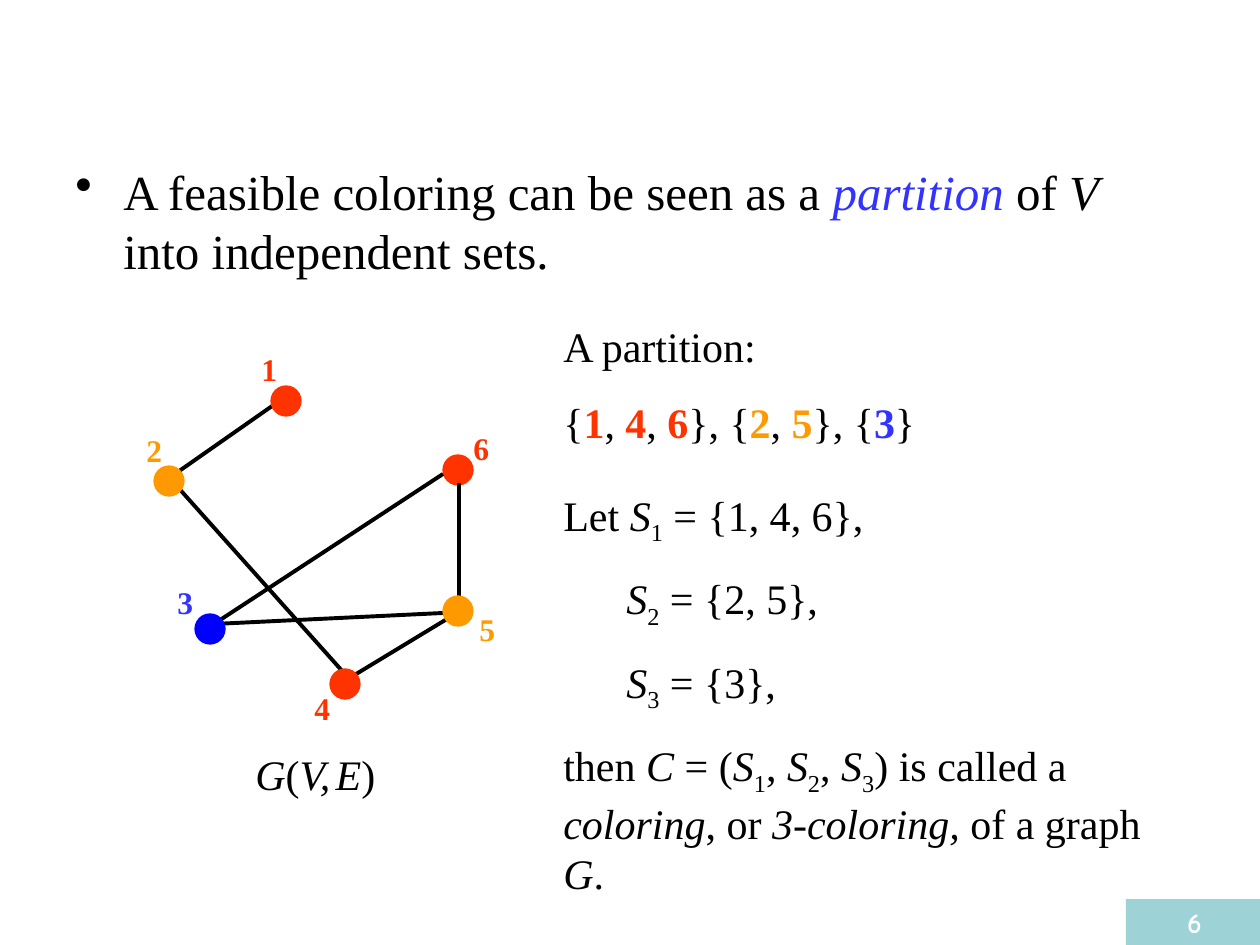
from pptx import Presentation
from pptx.dml.color import RGBColor
from pptx.enum.shapes import MSO_CONNECTOR, MSO_SHAPE
from pptx.enum.text import MSO_ANCHOR, PP_ALIGN
from pptx.oxml.ns import qn
from pptx.util import Emu, Pt
from lxml.etree import SubElement

PX = 914400 / 126
SERIF = "Times New Roman"
BLACK, RED, ORANGE, BLUE = "000000", "FF3300", "FF9900", "3333FF"
DOT = 30

# Vertex: dot corner, dot colour, label box (left, top, width), label colour
VERTICES = {
    "1": ((271, 386), RED, (249, 344, 59), RED),
    "2": ((154, 466), ORANGE, (134, 425, 59), ORANGE),
    "3": ((195, 614), "0000FF", (165, 577, 59), BLUE),
    "4": ((330, 669), RED, (302, 683, 59), RED),
    "5": ((443, 596), ORANGE, (467, 604, 59), ORANGE),
    "6": ((443, 455), RED, (461, 423, 50), RED),
}
EDGES = [
    (275, 404, 175, 474),  # 1-2
    (459, 483, 459, 601),  # 6-5
    (443, 474, 214, 624),  # 6-3
    (443, 613, 214, 624),  # 5-3
    (175, 484, 344, 673),  # 2-4
    (447, 619, 348, 679),  # 5-4
]


def px(value):
    return Emu(round(value * PX))


def rgb(hex_code):
    return RGBColor.from_string(hex_code)


def italic(text):
    return text, {"italic": True}


def bold(text, color):
    return text, {"bold": True, "color": color}


def s_set(index):
    """The symbol S with a subscript."""
    return [italic("S"), (index, {"sub": True})]


def add_runs(paragraph, runs):
    """Each run is plain text or a (text, style) pair."""
    for item in runs:
        text, style = (item, {}) if isinstance(item, str) else item
        run = paragraph.add_run()
        run.text = text
        font = run.font
        if style.get("italic"):
            font.italic = True
        if style.get("bold"):
            font.bold = True
        if "color" in style:
            font.color.rgb = rgb(style["color"])
        if "size" in style:
            font.size = Pt(style["size"])
        if style.get("sub"):
            run._r.get_or_add_rPr().set("baseline", "-25000")


def set_font(paragraph, size, color, name=SERIF):
    font = paragraph.font
    font.name, font.size, font.color.rgb = name, Pt(size), rgb(color)


def set_indent(paragraph, left, first=0):
    properties = paragraph._p.get_or_add_pPr()
    properties.set("marL", str(px(left)))
    properties.set("indent", str(px(first)))
    return properties


def add_text(slide, left, top, width, height, lines, size=24, color=BLACK):
    """Each line is a (left indent, runs) pair."""
    frame = slide.shapes.add_textbox(*map(px, (left, top, width, height))).text_frame
    frame.word_wrap = True
    for number, (indent, runs) in enumerate(lines):
        paragraph = frame.add_paragraph() if number else frame.paragraphs[0]
        if number:
            paragraph.space_before = Pt(15)
        if indent:
            set_indent(paragraph, indent)
        set_font(paragraph, size, color)
        add_runs(paragraph, runs)


def add_bullet(slide, left, top, width, height, runs):
    frame = slide.shapes.add_textbox(*map(px, (left, top, width, height))).text_frame
    frame.word_wrap = True
    paragraph = frame.paragraphs[0]
    properties = set_indent(paragraph, 48, -48)
    bullet_color = SubElement(properties, qn("a:buClr"))
    SubElement(bullet_color, qn("a:srgbClr")).set("val", BLACK)
    SubElement(properties, qn("a:buChar")).set("char", "•")
    set_font(paragraph, 28, BLACK)
    add_runs(paragraph, runs)


def add_dot(slide, vertex):
    (left, top), color, _, _ = VERTICES[vertex]
    dot = slide.shapes.add_shape(MSO_SHAPE.OVAL, *map(px, (left, top, DOT, DOT)))
    dot.shadow.inherit = False
    dot.fill.solid()
    dot.fill.fore_color.rgb = dot.line.color.rgb = rgb(color)
    dot.line.width = Pt(0.75)


def add_edge(slide, ends):
    edge = slide.shapes.add_connector(MSO_CONNECTOR.STRAIGHT, *map(px, ends))
    edge.line.color.rgb = rgb(BLACK)
    edge.line.width = Pt(2.25)
    SubElement(edge._element.spPr, qn("a:effectLst"))


def add_graph(slide):
    # Vertex 6 lies under its edges, the other vertices lie over them
    add_dot(slide, "6")
    for ends in EDGES:
        add_edge(slide, ends)
    for vertex in "12345":
        add_dot(slide, vertex)
    for vertex, (_, _, label, color) in VERTICES.items():
        add_text(slide, *label, 50, [(0, [bold(vertex, color)])], 18, color)


def add_page_number(slide, number):
    tab = slide.shapes.add_shape(MSO_SHAPE.RECTANGLE, *map(px, (1126, 899, 137, 46)))
    tab.shadow.inherit = False
    tab.fill.solid()
    tab.fill.fore_color.rgb = rgb("9DD3D7")
    tab.line.fill.background()
    frame = tab.text_frame
    frame.vertical_anchor = MSO_ANCHOR.MIDDLE
    paragraph = frame.paragraphs[0]
    paragraph.alignment = PP_ALIGN.CENTER
    set_font(paragraph, 16, "FFFFFF", "Comic Neue")
    add_runs(paragraph, [bold(number, "FFFFFF")])


def main():
    prs = Presentation()
    prs.slide_width, prs.slide_height = px(1260), px(945)
    slide = prs.slides.add_slide(prs.slide_layouts[6])

    # Statement
    add_bullet(slide, 63, 155, 1134, 130, [
        "A feasible coloring can be seen as a ",
        ("partition", {"italic": True, "color": BLUE}),
        " of ", italic("V"), " into independent sets."])

    # Graph and its caption
    add_graph(slide)
    add_text(slide, 243, 742, 159, 63, [
        (0, [italic("G"), "(", italic("V,"), (" ", {"italic": True, "size": 12}),
             italic("E"), ")"])])

    # Partition by colour
    add_text(slide, 551, 314, 407, 140, [
        (0, ["A partition:"]),
        (0, ["{", bold("1", RED), ", ", bold("4", RED), ", ", bold("6", RED),
             "}, {", bold("2", ORANGE), ", ", bold("5", ORANGE),
             "}, {", bold("3", BLUE), "}"])])

    # Definition of a coloring
    add_text(slide, 551, 483, 645, 422, [
        (0, ["Let ", *s_set("1"), " = {1, 4, 6},"]),
        (63, [*s_set("2"), " = {2, 5},"]),
        (63, [*s_set("3"), " = {3},"]),
        (0, ["then ", italic("C"), " = (", *s_set("1"), ", ", *s_set("2"), ", ",
             *s_set("3"), ") is called a ", italic("coloring"), ", or ",
             italic("3-coloring,"), " of a graph ", italic("G"), "."])])

    add_page_number(slide, "6")
    prs.save("out.pptx")


if __name__ == "__main__":
    main()
